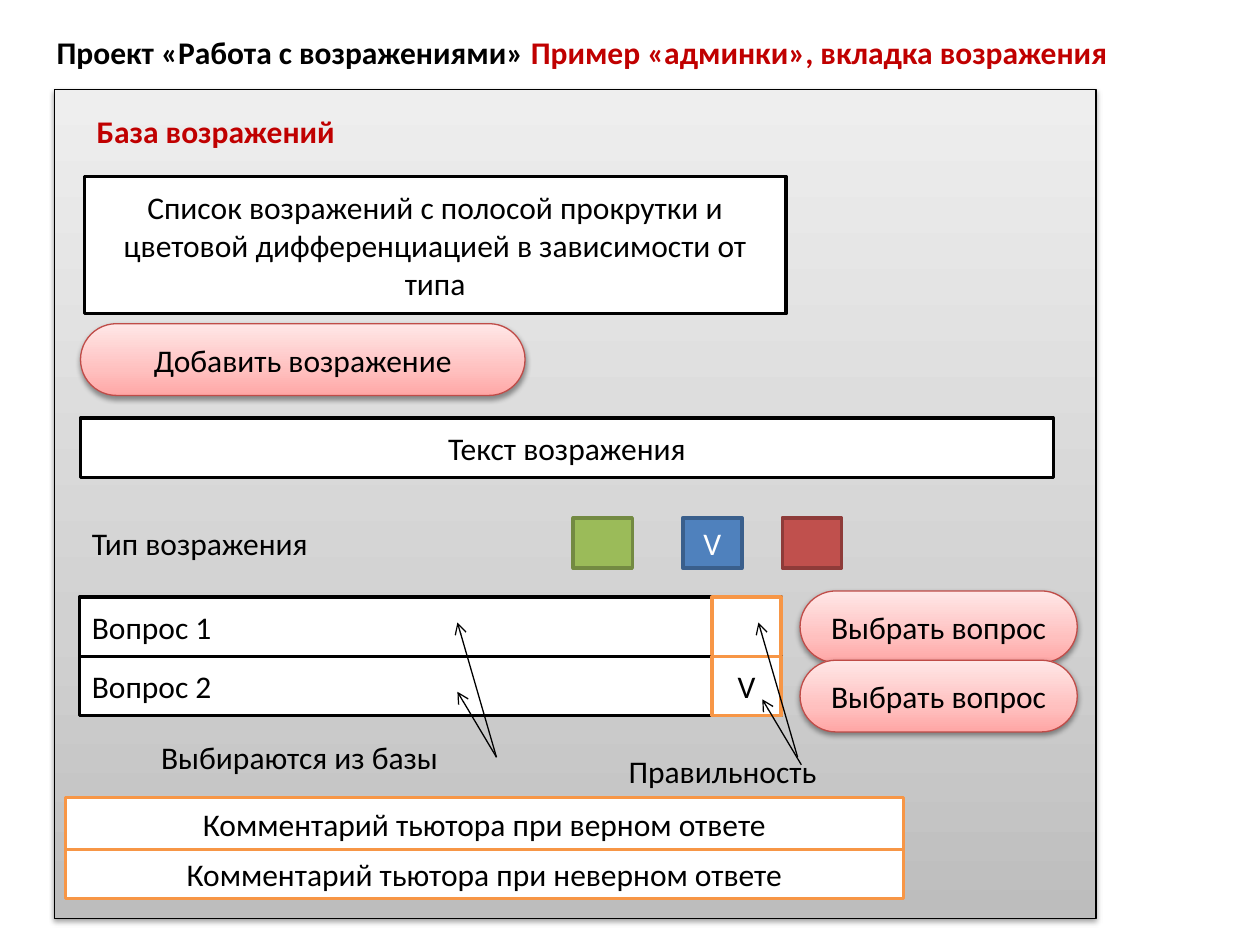
from copy import deepcopy
from dataclasses import dataclass

from lxml import etree
from pptx import Presentation
from pptx.dml.color import RGBColor
from pptx.enum.shapes import MSO_CONNECTOR, MSO_SHAPE
from pptx.enum.text import MSO_ANCHOR, PP_ALIGN
from pptx.oxml.ns import qn
from pptx.util import Pt

RECTANGLE = MSO_SHAPE.RECTANGLE
ROUNDED = MSO_SHAPE.ROUNDED_RECTANGLE
STRAIGHT = MSO_CONNECTOR.STRAIGHT
LEFT, CENTER = PP_ALIGN.LEFT, PP_ALIGN.CENTER
TOP, MIDDLE = MSO_ANCHOR.TOP, MSO_ANCHOR.MIDDLE
TITLE_ONLY = 5


@dataclass(frozen=True)
class Theme:
    font: str = "Calibri"
    size: float = 18
    black: str = "000000"
    white: str = "FFFFFF"
    heading: str = "C00000"
    orange: str = "F79646"
    button_line: str = "BF4C48"
    panel_fill: tuple = ("BDBDBD", "D1D1D1", "EEEEEE")
    button_fill: tuple = ("FFA6A5", "FFC0BF", "FFE7E7")
    swatches: tuple = (
        ("9BBB59", "738A42", ""),
        ("4F81BD", "3A5F8C", "V"),
        ("C0504D", "8E3B39", ""),
    )
    thin: float = 0.75
    thick: float = 2


@dataclass(frozen=True)
class Box:
    left: float
    top: float
    width: float
    height: float

    def inner(self, left, top, width, height):
        return Box(self.left + left, self.top + top, width, height)

    def lengths(self):
        return [Pt(value) for value in (self.left, self.top, self.width, self.height)]


THEME = Theme()


def color(value):
    return RGBColor.from_string(value)


def apply_format(target, values):
    for name, value in values.items():
        setattr(target, name, value)


def write(shape, runs, align=LEFT, anchor=MIDDLE, bold=False):
    frame = shape.text_frame
    apply_format(frame, {"word_wrap": True, "vertical_anchor": anchor})
    paragraph = frame.paragraphs[0]
    paragraph.alignment = align
    for text, text_color in runs:
        run = paragraph.add_run()
        run.text = text
        apply_format(run.font, {"name": THEME.font, "size": Pt(THEME.size), "bold": bold})
        run.font.color.rgb = color(text_color)


def add_label(slide, box, text, text_color=THEME.black, bold=False):
    shape = slide.shapes.add_textbox(*box.lengths())
    write(shape, [(text, text_color)], anchor=TOP, bold=bold)


def add_block(slide, box, text="", fill=THEME.white, line=THEME.black,
              align=CENTER, text_color=THEME.black, kind=RECTANGLE, width=THEME.thick):
    shape = slide.shapes.add_shape(kind, *box.lengths())
    shape.shadow.inherit = False
    shape.fill.solid()
    shape.fill.fore_color.rgb = color(fill)
    shape.line.color.rgb = color(line)
    shape.line.width = Pt(width)
    if text:
        write(shape, [(text, text_color)], align)
    return shape


def add_raised(slide, box, colors, line, text="", kind=RECTANGLE):
    shape = add_block(slide, box, text, line=line, kind=kind, width=THEME.thin)
    shape.fill.gradient()
    shape.fill.gradient_angle = 90
    stop_list = shape._element.spPr.find(qn("a:gradFill")).find(qn("a:gsLst"))
    stop_list.append(deepcopy(stop_list[-1]))
    for stop, position, value in zip(shape.fill.gradient_stops, (0, 0.35, 1), colors):
        stop.position = position
        stop.color.rgb = color(value)
    effects = shape._element.spPr.find(qn("a:effectLst"))
    shadow = etree.SubElement(effects, qn("a:outerShdw"), blurRad=str(Pt(3.1)),
                              dist=str(Pt(1.6)), dir="5400000", rotWithShape="0")
    shade = etree.SubElement(shadow, qn("a:srgbClr"), val=THEME.black)
    etree.SubElement(shade, qn("a:alpha"), val="38000")
    return shape


def add_button(slide, box, text):
    button = add_raised(slide, box, THEME.button_fill, THEME.button_line, text, ROUNDED)
    button.adjustments[0] = 0.5


def add_arrow(slide, box, start, end):
    points = [Pt(value) for x, y in (start, end) for value in (box.left + x, box.top + y)]
    arrow = slide.shapes.add_connector(STRAIGHT, *points)
    arrow.line.color.rgb = color(THEME.black)
    arrow.line.width = Pt(THEME.thin)
    etree.SubElement(arrow.line._get_or_add_ln(), qn("a:tailEnd"), type="arrow")
    etree.SubElement(arrow._element.spPr, qn("a:effectLst"))


def place_title(slide, box):
    title = slide.shapes.title
    apply_format(title, dict(zip(("left", "top", "width", "height"), box.lengths())))
    write(title, [("Проект «Работа с возражениями» ", THEME.black),
                  ("Пример «админки», вкладка возражения", THEME.heading)],
          anchor=TOP, bold=True)


def place_objections(slide, box):
    add_label(slide, box.inner(2.2, 0, 272, 28.8), "База возражений", THEME.heading, True)
    add_block(slide, box.inner(2.2, 40.3, 401, 78.5),
              "Список возражений с полосой прокрутки и цветовой дифференциацией "
              "в зависимости от типа")
    add_button(slide, box.inner(0, 124.5, 254, 41), "Добавить возражение")
    add_block(slide, box.inner(0, 178.5, box.width, 34), "Текст возражения")


def place_types(slide, box):
    add_label(slide, box.inner(0, 0, 266, box.height), "Тип возражения")
    for left, (fill, line, mark) in zip((282.2, 344.8, 401.7), THEME.swatches):
        add_block(slide, box.inner(left, 0, 33.8, box.height), mark, fill, line,
                  text_color=THEME.white)


def place_questions(slide, box):
    row_height, check_width, button_pitch = 33.8, 39.6, 39.6
    for row, mark in enumerate(("", "V")):
        top = row * row_height
        add_block(slide, box.inner(0, top, 401, row_height), f"Вопрос {row + 1}", align=LEFT)
        add_block(slide, box.inner(401 - check_width, top, check_width, row_height),
                  mark, line=THEME.orange)
        add_button(slide, box.inner(411.8, row * button_pitch - 3.6, 158.4, 41),
                   "Выбрать вопрос")
    add_label(slide, box.inner(39.6, 77, 244, 29.5), "Выбираются из базы")
    add_label(slide, box.inner(306.7, 84.9, 166, 28.8), "Правильность")
    for start, end in (
        ((238.3, 91.4), (216, 54)),
        ((238.3, 91.4), (216, 14.4)),
        ((410.4, 91.4), (388, 14.4)),
        ((412.5, 95.7), (390.2, 58.3)),
    ):
        add_arrow(slide, box, start, end)


def place_comments(slide, box):
    first_height = 29.7
    for top, height, answer in ((0, first_height, "верном"),
                                (first_height, box.height - first_height, "неверном")):
        add_block(slide, box.inner(0, top, box.width, height),
                  f"Комментарий тьютора при {answer} ответе", line=THEME.orange)


def place_panel(slide, box):
    add_raised(slide, box, THEME.panel_fill, THEME.black)
    place_objections(slide, box.inner(15, 9.4, 556, 212.5))
    place_types(slide, box.inner(14.4, 244.8, 435.5, 28.8))
    place_questions(slide, box.inner(14.4, 290.2, 570.2, 113.7))
    place_comments(slide, box.inner(6.4, 404.7, 478.8, 57.6))


def main():
    presentation = Presentation()
    presentation.slide_width = Pt(720)
    presentation.slide_height = Pt(540)
    slide = presentation.slides.add_slide(presentation.slide_layouts[TITLE_ONLY])
    place_title(slide, Box(25.2, 15.1, 657.4, 28.8))
    place_panel(slide, Box(31, 51.1, 595.4, 473.8))
    presentation.save("out.pptx")


if __name__ == "__main__":
    main()
